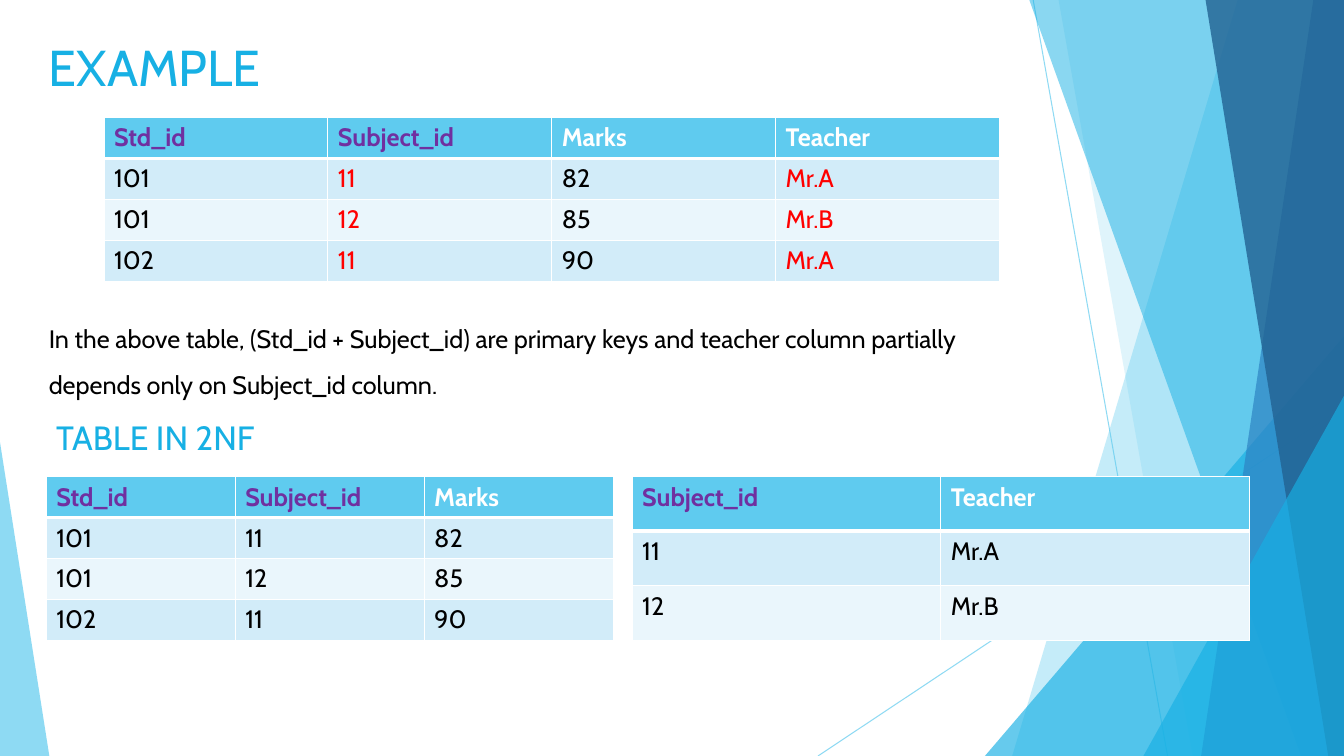
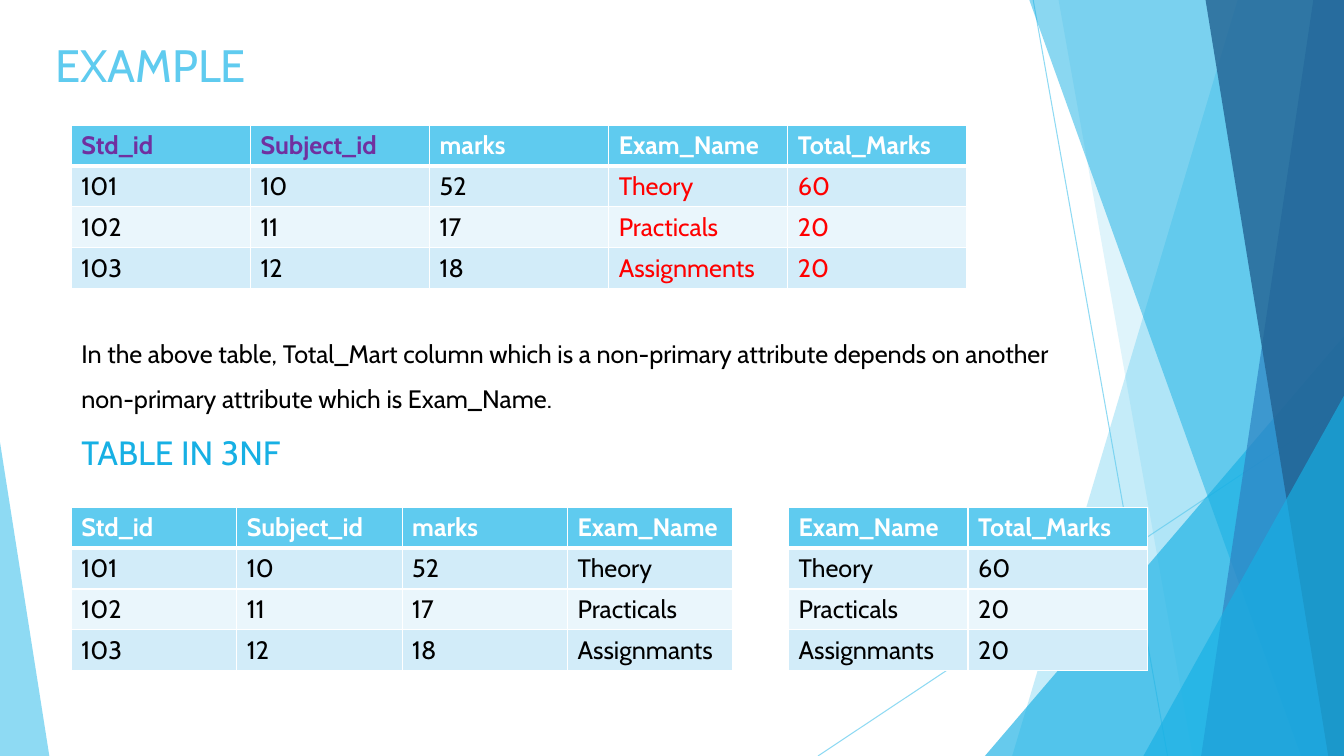
from lxml.etree import SubElement
from pptx import Presentation
from pptx.dml.color import RGBColor
from pptx.enum.shapes import MSO_CONNECTOR, MSO_SHAPE
from pptx.enum.text import MSO_ANCHOR, MSO_AUTO_SIZE, PP_ALIGN
from pptx.oxml.ns import qn
from pptx.util import Emu, Pt

WIDTH, HEIGHT = 1280, 720
FONT = "Cabin"
SKY, AZURE, BLUE, NAVY = "5FCBEF", "17B0E4", "2E83C3", "226292"
WHITE, BLACK, PURPLE, RED = "FFFFFF", "000000", "7030A0", "FF0000"
BANDS = "D2ECF9", "EAF6FC"


def px(n):
    """Turn pixels into EMU."""
    return Emu(n * 9525)


def rgb(code):
    """Turn a hex string into a colour."""
    return RGBColor.from_string(code)


class Deck:
    """Hold the presentation, its style and the current slide."""

    def __init__(self):
        """Set up a wide presentation with a bare title layout."""
        self.prs = Presentation()
        self.prs.slide_width, self.prs.slide_height = px(WIDTH), px(HEIGHT)
        self.layout = self.prs.slide_layouts[5]
        for ph in list(self.layout.placeholders):
            if ph.placeholder_format.idx != 0:
                self.layout.shapes.element.remove(ph.element)
        self.s = None

    def slide(self, title, box, size, color):
        """Start a slide and format its title."""
        first = self.s is None
        self.s = self.prs.slides.add_slide(self.layout)
        if first:
            self.facets()
        sp = self.s.shapes.title
        sp.left, sp.top, sp.width, sp.height = map(px, box)
        self.fill_frame(sp.text_frame, title, size, color)

    def font(self, r, size, color, bold=False):
        """Format a run."""
        for key, value in {"name": FONT, "size": Pt(size), "bold": bold}.items():
            setattr(r.font, key, value)
        r.font.color.rgb = rgb(color)

    def fill_frame(self, tf, text, size, color, spacing=1.0):
        """Fill a text frame with one left-aligned paragraph."""
        frame = {"word_wrap": True, "auto_size": MSO_AUTO_SIZE.NONE,
                 "vertical_anchor": MSO_ANCHOR.TOP}
        for key, value in frame.items():
            setattr(tf, key, value)
        p = tf.paragraphs[0]
        for key, value in {"alignment": PP_ALIGN.LEFT, "line_spacing": spacing}.items():
            setattr(p, key, value)
        r = p.add_run()
        r.text = text
        self.font(r, size, color)

    def text(self, text, box, size, color, spacing=1.0):
        """Add a text box."""
        sp = self.s.shapes.add_textbox(*map(px, box))
        self.fill_frame(sp.text_frame, text, size, color, spacing)

    def fade(self, sp, alpha):
        """Make the colours of a shape partly transparent."""
        for clr in sp.element.spPr.iter(qn("a:srgbClr")):
            SubElement(clr, qn("a:alpha"), val=str(alpha * 1000))

    def paint(self, sp, color, alpha):
        """Give a shape a transparent fill without line or shadow."""
        sp.shadow.inherit = False
        sp.fill.solid()
        sp.fill.fore_color.rgb = rgb(color)
        sp.line.fill.background()
        self.fade(sp, alpha)

    def line(self, x1, y1, x2, y2):
        """Add a thin line."""
        sp = self.s.shapes.add_connector(
            MSO_CONNECTOR.STRAIGHT, *map(px, (x1, y1, x2, y2)))
        sp.line.color.rgb = rgb(SKY)
        sp.line.width = Pt(0.75)
        SubElement(sp.element.spPr, qn("a:effectLst"))
        self.fade(sp, 70)

    def band(self, top, bottom, color, alpha):
        """Add a slanted band that reaches the right edge."""
        builder = self.s.shapes.build_freeform(px(top), px(-1))
        corners = (WIDTH, -1), (WIDTH, HEIGHT), (bottom, HEIGHT)
        builder.add_line_segments([(px(x), px(y)) for x, y in corners])
        self.paint(builder.convert_to_shape(), color, alpha)

    def triangle(self, x, y, w, apex, color, alpha):
        """Add a triangle that stands on the bottom edge."""
        sp = self.s.shapes.add_shape(
            MSO_SHAPE.ISOSCELES_TRIANGLE, *map(px, (x, y, w, HEIGHT - y)))
        sp.adjustments[0] = apex
        self.paint(sp, color, alpha)

    def facets(self):
        """Draw the shared decoration and move it to the layout."""
        self.line(984, 0, 1112, HEIGHT)
        self.line(WIDTH, 387, 779, HEIGHT)
        self.band(1179, 964, SKY, 36)
        self.band(1008, 1136, SKY, 20)
        self.triangle(938, 320, 342, 1, AZURE, 66)
        self.band(980, 1239, AZURE, 50)
        self.band(1251, 1144, BLUE, 70)
        self.band(1148, 1265, NAVY, 80)
        self.triangle(1089, 377, 191, 1, AZURE, 66)
        self.triangle(0, 421, 47, 0, SKY, 70)
        for sp in list(self.s.shapes):
            if not sp.is_placeholder:
                self.layout.shapes.element.append(sp.element)

    def border(self, cell, row):
        """Draw white cell borders, thick under the header."""
        pr = cell._tc.get_or_add_tcPr()
        thick = {0: "a:lnB", 1: "a:lnT"}.get(row)
        for tag in ("a:lnL", "a:lnR", "a:lnT", "a:lnB"):
            ln = SubElement(pr, qn(tag), w=str(Pt(3 if tag == thick else 1)))
            SubElement(SubElement(ln, qn("a:solidFill")), qn("a:srgbClr"), val=WHITE)

    def table(self, x, y, w, lines, keys=0, reds=(), row_h=39):
        """Add a table; the first columns are keys, some columns are red."""
        rows = [line.split() for line in lines]
        n = len(rows[0])
        table = self.s.shapes.add_table(
            len(rows), n, px(x), px(y), px(w), px(row_h * len(rows))).table
        table.horz_banding = False
        for i, row in enumerate(rows):
            for j, value in enumerate(row):
                cell = table.cell(i, j)
                self.border(cell, i)
                cell.fill.solid()
                cell.fill.fore_color.rgb = rgb(BANDS[(i - 1) % 2] if i else SKY)
                if i:
                    color = RED if j in reds else BLACK
                else:
                    color = PURPLE if j < keys else WHITE
                r = cell.text_frame.paragraphs[0].add_run()
                r.text = value
                self.font(r, 18, color, bold=i == 0)


def main():
    """Build both slides."""
    deck = Deck()

    deck.slide("EXAMPLE", (37, 30, 902, 70), 36, AZURE)
    deck.table(99, 112, 853, ["Std_id Subject_id Marks Teacher", "101 11 82 Mr.A",
                              "101 12 85 Mr.B", "102 11 90 Mr.A"], 2, (1, 3))
    deck.text("In the above table, (Std_id + Subject_id) are primary keys and teacher "
              "column partially depends only on Subject_id column.",
              (37, 289, 923, 91), 18, BLACK, 1.5)
    deck.text("TABLE IN 2NF", (44, 392, 420, 48), 24, AZURE)
    deck.table(44, 454, 540, ["Std_id Subject_id Marks", "101 11 82", "101 12 85",
                              "102 11 90"], 2)
    deck.table(602, 454, 588, ["Subject_id Teacher", "11 Mr.A", "12 Mr.B"], 1, row_h=52)

    deck.slide("EXAMPLE", (43, 31, 441, 61), 32.4, SKY)
    deck.table(68, 119, 853, ["Std_id Subject_id marks Exam_Name Total_Marks",
                              "101 10 52 Theory 60", "102 11 17 Practicals 20",
                              "103 12 18 Assignments 20"], 2, (3, 4))
    deck.text("In the above table, Total_Mart column which is a non-primary attribute "
              "depends on another non-primary attribute which is Exam_Name.",
              (68, 303, 975, 97), 18, BLACK, 1.5)
    deck.text("TABLE IN 3NF", (68, 407, 416, 48), 24, AZURE)
    deck.table(68, 483, 630, ["Std_id Subject_id marks Exam_Name", "101 10 52 Theory",
                              "102 11 17 Practicals", "103 12 18 Assignmants"])
    deck.table(751, 483, 342, ["Exam_Name Total_Marks", "Theory 60", "Practicals 20",
                               "Assignmants 20"])

    deck.prs.save("out.pptx")


if __name__ == "__main__":
    main()
